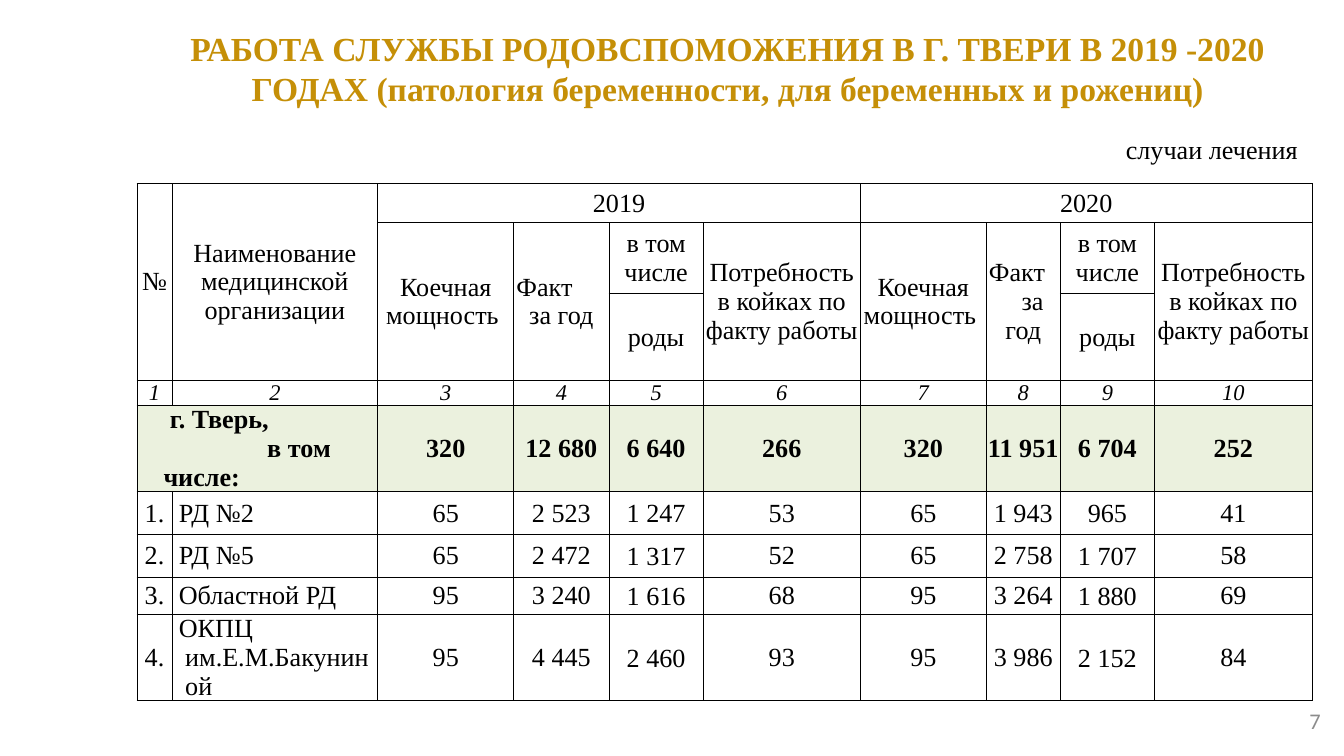
from dataclasses import dataclass
from lxml.etree import SubElement
from pptx import Presentation
from pptx.dml.color import RGBColor
from pptx.enum.text import MSO_ANCHOR, PP_ALIGN
from pptx.oxml.ns import qn
from pptx.util import Cm, Pt


@dataclass(frozen=True)
class Theme:
    serif: str = "Times New Roman"
    sans: str = "Calibri"
    ink: str = "000000"
    gold: str = "C58F07"
    grey: str = "8C8C8C"
    tint: str = "EBF1DE"
    title: int = 18
    body: int = 14
    small: int = 12
    rule: float = 0.5
    pitch: float = 1.1


THEME = Theme()
LEFT, MID, RIGHT = PP_ALIGN.LEFT, PP_ALIGN.CENTER, PP_ALIGN.RIGHT

COLS = [0.66, 3.89, 2.57, 1.8, 1.78, 2.97, 2.38, 1.4, 1.78, 2.98]
ROWS = [0.74, 1.34, 1.64, 0.47, 1.63, 0.81, 0.81, 0.7, 1.63]
HEAD, COUNT, TOTAL = 3, 3, 4
BIRTHS = (4, 8)
DATA = [
    ["320", "12 680", "6 640", "266", "320", "11 951", "6 704", "252"],
    ["1.", "РД №2", "65", "2 523", "1 247", "53", "65", "1 943", "965", "41"],
    ["2.", "РД №5", "65", "2 472", "1 317", "52", "65", "2 758", "1 707", "58"],
    ["3.", "Областной РД", "95", "3 240", "1 616", "68", "95", "3 264", "1 880", "69"],
    ["4.", "ОКПЦ им.Е.М.Бакуниной", "95", "4 445", "2 460", "93", "95", "3 986", "2 152", "84"],
]


def apply(item, form):
    for name, value in form.items():
        setattr(item, name, value)


def write(para, text, align=MID, left=0, first=0, color=THEME.ink, **font):
    """Fill one paragraph; left and first are its indents in cm."""
    para.alignment = align
    if left or first:
        props = para._p.get_or_add_pPr()
        props.set("marL", str(Cm(left)))
        props.set("indent", str(Cm(first)))
    run = para.add_run()
    run.text = text
    apply(run.font, {"name": THEME.serif, "size": Pt(THEME.body)} | font)
    run.font.color.rgb = RGBColor.from_string(color)


def add_text(slide, area, text, **form):
    frame = slide.shapes.add_textbox(*map(Cm, area)).text_frame
    apply(frame, {"word_wrap": True, "vertical_anchor": MSO_ANCHOR.MIDDLE})
    write(frame.paragraphs[0], text, **form)


def style_cell(cell, tint=None):
    apply(cell, {
        "margin_left": 0, "margin_right": 0, "margin_top": 0, "margin_bottom": 0,
        "vertical_anchor": MSO_ANCHOR.MIDDLE,
    })
    props = cell._tc.get_or_add_tcPr()
    for side in ("lnL", "lnR", "lnT", "lnB"):
        line = SubElement(props, qn(f"a:{side}"), w=str(Pt(THEME.rule)))
        fill = SubElement(line, qn("a:solidFill"))
        SubElement(fill, qn("a:srgbClr"), val=THEME.ink)
    if tint:
        cell.fill.solid()
        cell.fill.fore_color.rgb = RGBColor.from_string(tint)
    else:
        cell.fill.background()


def put(grid, row, col, *lines, span=(1, 1), size=THEME.body, **form):
    """Write lines into a cell; a line is a text or a (text, format) pair."""
    cell = grid.cell(row, col)
    if span != (1, 1):
        cell.merge(grid.cell(row + span[0] - 1, col + span[1] - 1))
    frame = cell.text_frame
    for i, line in enumerate(lines):
        text, own = (line, {}) if isinstance(line, str) else line
        para = frame.add_paragraph() if i else frame.paragraphs[0]
        para.line_spacing = Pt(size * THEME.pitch)
        write(para, text, size=Pt(size), **(form | own))


def add_grid(slide):
    area = map(Cm, (2.59, 3.47, sum(COLS), sum(ROWS)))
    grid = slide.shapes.add_table(len(ROWS), len(COLS), *area).table
    apply(grid, {"first_row": False, "horz_banding": False})
    for col, width in zip(grid.columns, COLS):
        col.width = Cm(width)
    for i, (row, height) in enumerate(zip(grid.rows, ROWS)):
        row.height = Cm(height)
        for cell in row.cells:
            style_cell(cell, THEME.tint if i == TOTAL else None)
    return grid


def fill_head(grid):
    put(grid, 0, 0, "№", span=(HEAD, 1))
    put(grid, 0, 1, "Наименование медицинской организации", span=(HEAD, 1))
    fact = ("Факт", {"align": LEFT, "left": 0.05})
    years = [
        (2, "2019", [fact, "за год"]),
        (6, "2020", [fact, ("за", {"left": 0.35}), "год"]),
    ]
    for col, year, facts in years:
        put(grid, 0, col, year, span=(1, 4))
        put(grid, 1, col, "Коечная мощность ", span=(2, 1))
        put(grid, 1, col + 1, *facts, span=(2, 1))
        put(grid, 1, col + 2, "в том числе")
        put(grid, 2, col + 2, "роды")
        put(grid, 1, col + 3, "Потребность в койках по факту работы ", span=(2, 1))
    for col in range(len(COLS)):
        put(grid, COUNT, col, str(col + 1), size=THEME.small, italic=True)


def fill_body(grid):
    put(grid, TOTAL, 0, ("г. Тверь,", {"left": 0.62}), ("в том", {"left": 2.46}),
        ("числе:", {"left": 0.5}), span=(1, 2), align=LEFT, bold=True)
    for col, text in enumerate(DATA[0], 2):
        put(grid, TOTAL, col, text, bold=True)
    name = {"align": LEFT, "left": 0.25, "first": -0.12}
    for row, texts in enumerate(DATA[1:], TOTAL + 1):
        for col, text in enumerate(texts):
            put(grid, row, col, text, **(name if col == 1 else {}))
        for col in BIRTHS:
            grid.cell(row, col).margin_top = Cm(0.03)


def main():
    deck = Presentation()
    apply(deck, {"slide_width": Cm(25.4), "slide_height": Cm(14.28)})
    slide = deck.slides.add_slide(deck.slide_layouts[6])
    add_text(slide, (2.72, 0.39, 22.07, 1.8),
             "РАБОТА СЛУЖБЫ РОДОВСПОМОЖЕНИЯ В Г. ТВЕРИ В 2019 -2020 "
             "ГОДАХ (патология беременности, для беременных и рожениц)",
             color=THEME.gold, size=Pt(THEME.title), bold=True)
    grid = add_grid(slide)
    fill_head(grid)
    fill_body(grid)
    add_text(slide, (20.82, 2.37, 3.96, 0.89), "случаи лечения", align=RIGHT)
    add_text(slide, (18.2, 13.23, 7.01, 0.76), "7", align=RIGHT,
             color=THEME.grey, name=THEME.sans, size=Pt(THEME.small))
    deck.save("out.pptx")


if __name__ == "__main__":
    main()
